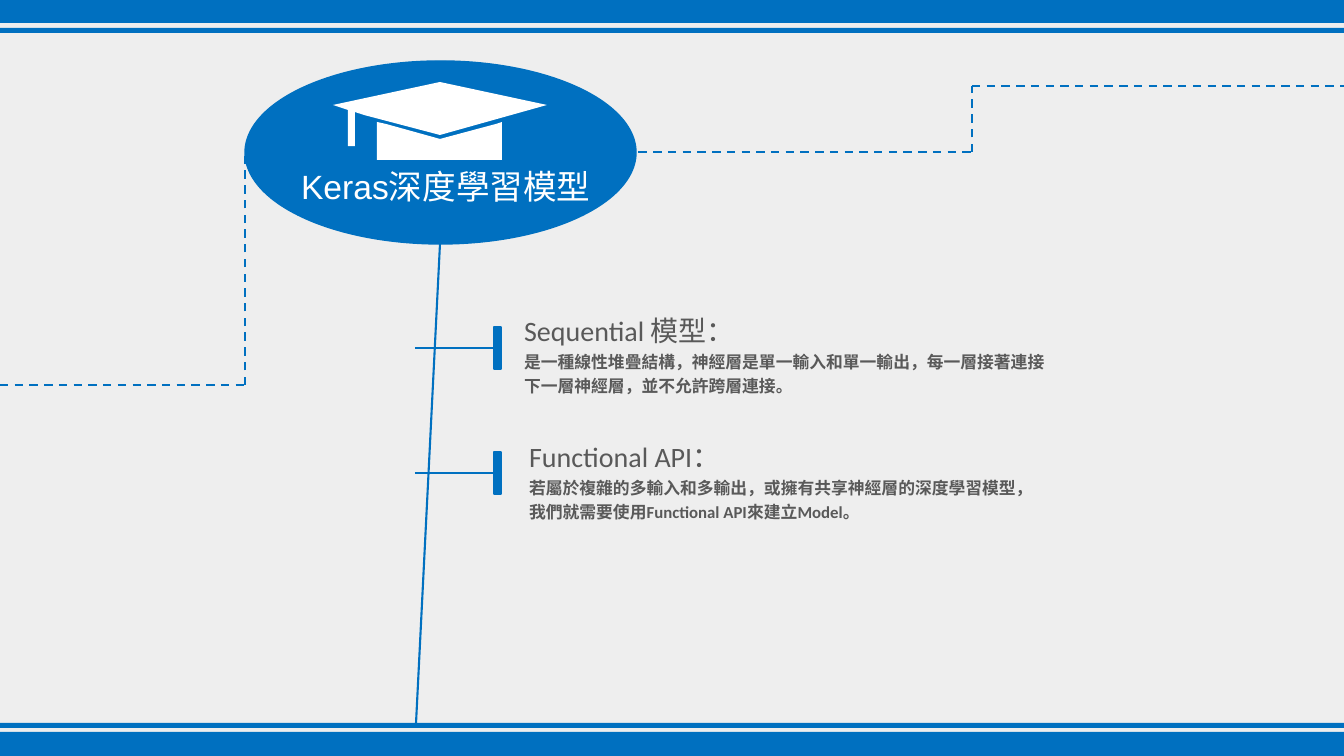
"""Builds the Keras deep learning models slide."""
import pptx
import pptx.util
import pptx.dml.color
import pptx.enum.dml
import pptx.enum.shapes
import pptx.enum.text
import pptx.oxml
import pptx.oxml.ns

PX = 914400 / 100.8
COLORS = {"background": "EEEEEE", "blue": "0070C0", "white": "FFFFFF", "grey": "595959"}

HEADLINE = "Keras深度學習模型"
HEADLINE_BOX = (291, 161, 359, 50)
MODELS = [
    ("Sequential 模型：",
     "是一種線性堆疊結構，神經層是單一輸入和單一輸出，每一層接著連接下一層神經層，並不允許跨層連接。",
     (514, 302, 548, 100)),
    ("Functional API：",
     "若屬於複雜的多輸入和多輸出，或擁有共享神經層的深度學習模型，我們就需要使用Functional API來建立Model。",
     (519, 428, 535, 100)),
]
BANDS = [(0, 23), (28, 5), (723, 5), (732, 24)]
BADGE = (245, 61, 391, 183)
CAP_TOP = [(364, 115), (440, 135), (547, 105), (440, 82), (333, 105),
           (348, 110), (348, 146), (355, 146), (355, 112)]
CAP_BASE = [(496, 124), (440, 139), (386, 124), (377, 122), (377, 160), (502, 160), (502, 122)]
DASHES = [
    (0, 385, 245, 385), (245, 385, 245, 154), (245, 152, 322, 152),
    (506, 152, 972, 152), (972, 152, 972, 86), (972, 86, 1344, 86),
]
TRUNK = (440, 244, 416, 724)
BRANCH_TOP, BRANCH_STEP = 327, 125
TICK_LEFT, TICK_WIDTH, TICK_HEIGHT, BRANCH_LEFT = 494, 7, 42, 415

SHAPES = pptx.enum.shapes.MSO_SHAPE


def px(*lengths):
    return [pptx.util.Emu(round(length * PX)) for length in lengths]


def rgb(name):
    return pptx.dml.color.RGBColor.from_string(COLORS[name])


def paint(shape, color, outlined=False):
    shape.shadow.inherit = False
    shape.fill.solid()
    shape.fill.fore_color.rgb = rgb(color)
    if outlined:
        shape.line.color.rgb = rgb(color)
        shape.line.width = pptx.util.Pt(1)
    else:
        shape.line.fill.background()


def add_block(preset, box, outlined=False):
    paint(slide.shapes.add_shape(preset, *px(*box)), "blue", outlined)


def add_line(ends, dashed=False):
    line = slide.shapes.add_connector(pptx.enum.shapes.MSO_CONNECTOR.STRAIGHT, *px(*ends))
    line.line.color.rgb = rgb("blue")
    line.line.width = pptx.util.Pt(1.5)
    if dashed:
        line.line.dash_style = pptx.enum.dml.MSO_LINE.DASH
    line.element.spPr.append(pptx.oxml.parse_xml(
        "<a:effectLst %s/>" % pptx.oxml.ns.nsdecls("a")))


def add_outline(points):
    builder = slide.shapes.build_freeform(*points[0], scale=PX)
    builder.add_line_segments(points[1:], close=True)
    paint(builder.convert_to_shape(), "white")


def fill_placeholder(holder, box, paragraphs, font, color, spacing):
    """Place a placeholder and write its (text, size, bold) paragraphs."""
    holder.left, holder.top, holder.width, holder.height = px(*box)
    frame = holder.text_frame
    frame.text = "\n".join(text for text, size, bold in paragraphs)
    frame.word_wrap = True
    frame.auto_size = pptx.enum.text.MSO_AUTO_SIZE.NONE
    frame.vertical_anchor = pptx.enum.text.MSO_ANCHOR.TOP
    for paragraph, (text, size, bold) in zip(frame.paragraphs, paragraphs):
        paragraph.alignment = pptx.enum.text.PP_ALIGN.LEFT
        paragraph.line_spacing = spacing
        paragraph.space_before = pptx.util.Pt(0)
        properties = paragraph._p.get_or_add_pPr()
        properties.set("marL", "0")
        properties.set("indent", "0")
        properties.append(pptx.oxml.parse_xml("<a:buNone %s/>" % pptx.oxml.ns.nsdecls("a")))
        for run in paragraph.runs:
            run.font.name = font
            run.font.size = pptx.util.Pt(size)
            run.font.bold = bold
            run.font.color.rgb = rgb(color)
    slide.shapes.element.append(holder.element)


deck = pptx.Presentation()
deck.slide_width, deck.slide_height = px(1344, 756)
slide = deck.slides.add_slide(deck.slide_layouts.get_by_name("Two Content"))
slide.background.fill.solid()
slide.background.fill.fore_color.rgb = rgb("background")
headline, *descriptions = list(slide.placeholders)

for top, height in BANDS:
    add_block(SHAPES.RECTANGLE, (0, top, 1344, height))
add_block(SHAPES.OVAL, BADGE, outlined=True)
for points in (CAP_TOP, CAP_BASE):
    add_outline(points)
for ends in DASHES:
    add_line(ends, dashed=True)
add_line(TRUNK)
fill_placeholder(headline, HEADLINE_BOX, [(HEADLINE, 24, False)], "Arial", "white", 1.0)

for index, (holder, (name, description, box)) in enumerate(zip(descriptions, MODELS)):
    top = BRANCH_TOP + index * BRANCH_STEP
    middle = top + TICK_HEIGHT / 2
    add_block(SHAPES.RECTANGLE, (TICK_LEFT, top, TICK_WIDTH, TICK_HEIGHT), outlined=True)
    add_line((BRANCH_LEFT, middle, TICK_LEFT, middle))
    fill_placeholder(holder, box, [(name, 20, False), (description, 12, True)],
                     "Calibri", "grey", 1.2)

deck.save("out.pptx")
